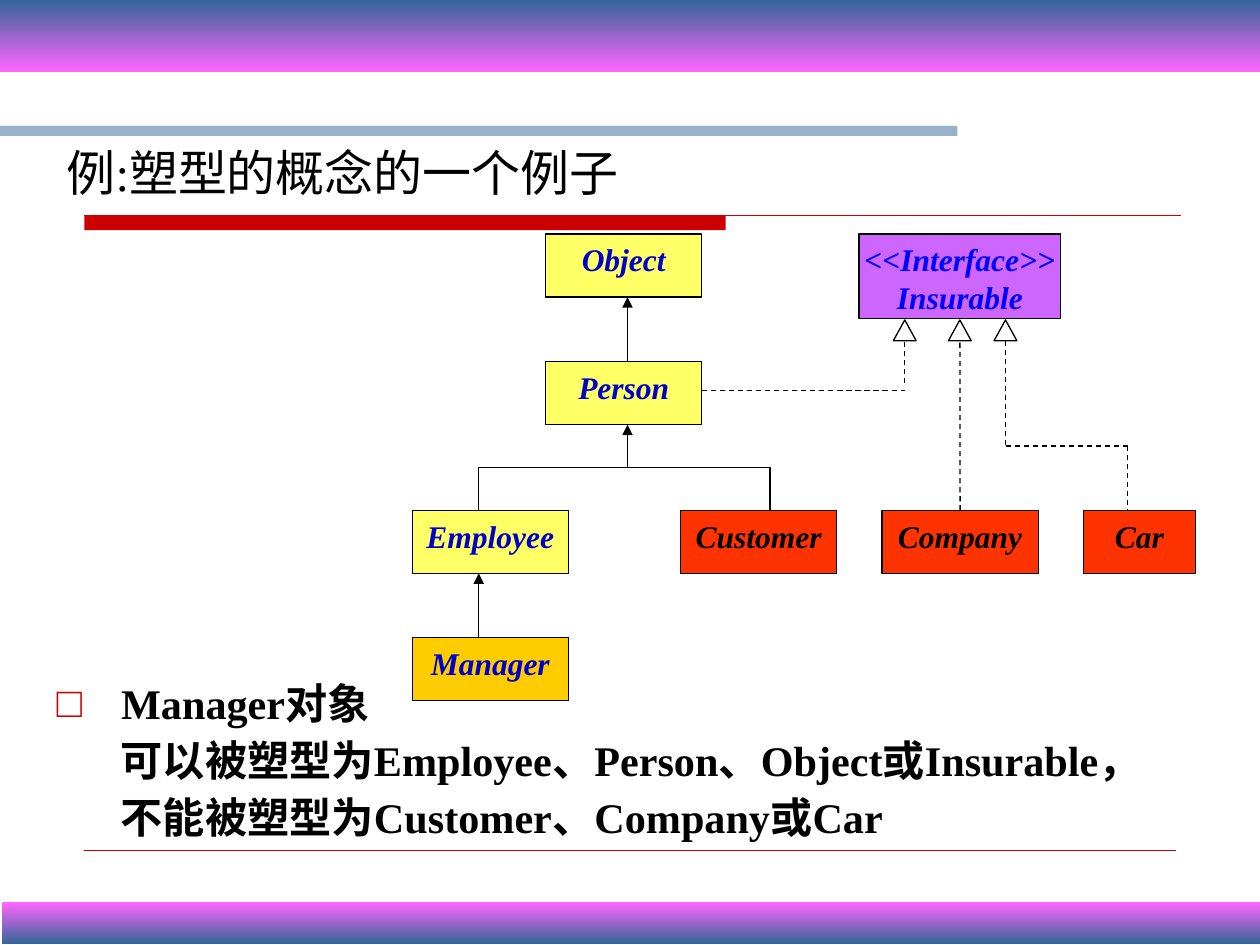
from dataclasses import dataclass
from typing import Any

from lxml import etree
from pptx import Presentation
from pptx.dml.color import RGBColor
from pptx.enum.dml import MSO_LINE
from pptx.enum.shapes import MSO_CONNECTOR, MSO_SHAPE
from pptx.enum.text import MSO_ANCHOR, MSO_AUTO_SIZE, PP_ALIGN
from pptx.oxml.ns import qn
from pptx.util import Cm, Pt

RECTANGLE = MSO_SHAPE.RECTANGLE
TRIANGLE = MSO_SHAPE.ISOSCELES_TRIANGLE
STRAIGHT = MSO_CONNECTOR.STRAIGHT
DASH = MSO_LINE.DASH
CENTER, LEFT = PP_ALIGN.CENTER, PP_ALIGN.LEFT
TOP, BOTTOM = MSO_ANCHOR.TOP, MSO_ANCHOR.BOTTOM
NO_FIT = MSO_AUTO_SIZE.NONE

FONT = "Times New Roman"
BLACK, WHITE, RED, BLUE, PINK = "000000", "FFFFFF", "CC0000", "336699", "FF66FF"
YELLOW, ORANGE, GOLD, PURPLE = "FFFF66", "FF3300", "FFCC00", "CC66FF"
NAVY, BRIGHT_BLUE = "0000CC", "0000FF"
BOX_WIDTH, BOX_HEIGHT = 3.15, 1.27
ROWS = (4.72, 7.29, 10.29, 12.85)
TRUNK, BUS, EMPLOYEE_LINE, CUSTOMER_LINE = 12.65, 9.42, 9.65, 15.52
HEAD_TOP, HEAD_WIDTH, HEAD_HEIGHT = 6.45, 0.46, 0.42
HEAD_BASE = HEAD_TOP + HEAD_HEIGHT
PERSON_HEAD, COMPANY_HEAD, CAR_HEAD = 18.24, 19.35, 20.27
PERSON_LINE, CAR_BEND, CAR_LINE = 7.87, 8.99, 22.73


@dataclass
class ClassBox:
    label: str
    left: float
    top: float
    fill: str = YELLOW
    color: str = NAVY
    width: float = BOX_WIDTH
    height: float = BOX_HEIGHT


@dataclass
class Link:
    start: tuple[float, float]
    end: tuple[float, float]
    dashed: bool = False
    arrow: bool = False
    color: str = BLACK
    weight: float = 0.75


BOXES = [
    ClassBox("Object", 11, ROWS[0]),
    ClassBox("Person", 11, ROWS[1]),
    ClassBox("Employee", 8.31, ROWS[2]),
    ClassBox("Customer", 13.72, ROWS[2], ORANGE, BLACK),
    ClassBox("Manager", 8.31, ROWS[3], GOLD),
    ClassBox("Company", 17.78, ROWS[2], ORANGE, BLACK),
    ClassBox("Car", 21.84, ROWS[2], ORANGE, BLACK, 2.26),
    ClassBox("<<Interface>>\nInsurable", 17.32, ROWS[0], PURPLE, BRIGHT_BLUE, 4.06, 1.7),
]
LINKS = [
    Link((TRUNK, ROWS[1]), (TRUNK, ROWS[0] + BOX_HEIGHT), arrow=True),
    Link((EMPLOYEE_LINE, BUS), (CUSTOMER_LINE, BUS)),
    Link((EMPLOYEE_LINE, BUS), (EMPLOYEE_LINE, ROWS[2])),
    Link((CUSTOMER_LINE, BUS), (CUSTOMER_LINE, ROWS[2])),
    Link((TRUNK, BUS), (TRUNK, ROWS[1] + BOX_HEIGHT), arrow=True),
    Link((EMPLOYEE_LINE, ROWS[3]), (EMPLOYEE_LINE, ROWS[2] + BOX_HEIGHT), arrow=True),
    Link((11 + BOX_WIDTH, PERSON_LINE), (PERSON_HEAD, PERSON_LINE), dashed=True),
    Link((PERSON_HEAD, 7.72), (PERSON_HEAD, HEAD_BASE), dashed=True),
    Link((CAR_HEAD, HEAD_BASE), (CAR_HEAD, CAR_BEND), dashed=True),
    Link((CAR_HEAD, CAR_BEND), (CAR_LINE, CAR_BEND), dashed=True),
    Link((CAR_LINE, CAR_BEND), (CAR_LINE, ROWS[2]), dashed=True),
]
BODY_LINES = [
    "Manager对象",
    "可以被塑型为Employee、Person、Object或Insurable，",
    "不能被塑型为Customer、Company或Car",
]


def rgb(value: str) -> RGBColor:
    return RGBColor.from_string(value)


def apply(target: Any, values: dict[str, Any]) -> None:
    for name, value in values.items():
        setattr(target, name, value)


def place(shape: Any, left: float, top: float, width: float, height: float) -> None:
    apply(shape, {"left": Cm(left), "top": Cm(top), "width": Cm(width), "height": Cm(height)})


def write(paragraph: Any, text: str, size: float, color: str, **style: bool) -> None:
    span = paragraph.add_run()
    span.text = text
    apply(span.font, {"name": FONT, "size": Pt(size), **style})
    span.font.color.rgb = rgb(color)


def add_block(page: Any, kind: Any, left: float, top: float, width: float, height: float,
              fill: str, outlined: bool = False) -> Any:
    block = page.shapes.add_shape(kind, Cm(left), Cm(top), Cm(width), Cm(height))
    block.shadow.inherit = False
    block.fill.solid()
    block.fill.fore_color.rgb = rgb(fill)
    if outlined:
        block.line.color.rgb = rgb(BLACK)
        block.line.width = Pt(0.75)
    else:
        block.line.fill.background()
    return block


def add_band(page: Any, left: float, top: float, height: float, colors: tuple[str, str]) -> None:
    band = add_block(page, RECTANGLE, left, top, 25.4, height, colors[0])
    band.fill.gradient()
    band.fill.gradient_angle = 270
    for stop, color in zip(band.fill.gradient_stops, colors):
        stop.color.rgb = rgb(color)


def add_class_box(page: Any, item: ClassBox) -> Any:
    box = add_block(page, RECTANGLE, item.left, item.top, item.width, item.height, item.fill, True)
    frame = box.text_frame
    apply(frame, {"word_wrap": False, "vertical_anchor": TOP})
    for index, line in enumerate(item.label.split("\n")):
        paragraph = frame.add_paragraph() if index else frame.paragraphs[0]
        paragraph.alignment = CENTER
        write(paragraph, line, 18, item.color, bold=True, italic=True)
    return box


def add_link(page: Any, link: Link) -> Any:
    points = [Cm(value) for value in (*link.start, *link.end)]
    connector = page.shapes.add_connector(STRAIGHT, *points)
    connector.line.color.rgb = rgb(link.color)
    connector.line.width = Pt(link.weight)
    if link.dashed:
        connector.line.dash_style = DASH
    if link.arrow:
        etree.SubElement(connector.line._get_or_add_ln(), qn("a:tailEnd"), type="triangle")
    etree.SubElement(connector._element.spPr, qn("a:effectLst"))
    return connector


def fill_title(title: Any) -> None:
    place(title, 1.09, 2.59, 15.01, 1.57)
    apply(title.text_frame, {"vertical_anchor": BOTTOM, "auto_size": NO_FIT, "word_wrap": True})
    paragraph = title.text_frame.paragraphs[0]
    apply(paragraph, {"alignment": LEFT, "line_spacing": 0.7})
    write(paragraph, "例:塑型的概念的一个例子", 28, BLACK)


def fill_body(body: Any) -> None:
    place(body, 0.89, 13.64, 24.31, 4.29)
    frame = body.text_frame
    apply(frame, {"vertical_anchor": TOP, "auto_size": NO_FIT, "word_wrap": True})
    for index, line in enumerate(BODY_LINES):
        paragraph = frame.add_paragraph() if index else frame.paragraphs[0]
        apply(paragraph, {"level": min(index, 1), "line_spacing": 0.9,
                          "space_before": Pt(6.5 if index else 0)})
        settings = paragraph._p.get_or_add_pPr()
        settings.set("marL", str(Cm(2.51 if index else 1.3)))
        settings.set("indent", str(Cm(-1.22 if index else -1.3)))
        if index:
            etree.SubElement(settings, qn("a:buNone"))
        else:
            bullet_color = etree.SubElement(settings, qn("a:buClr"))
            etree.SubElement(bullet_color, qn("a:srgbClr"), val=RED)
            etree.SubElement(settings, qn("a:buChar"), char="□")
        write(paragraph, line, 24.1, BLACK, bold=True)


def main() -> None:
    deck = Presentation()
    apply(deck, {"slide_width": Cm(25.4), "slide_height": Cm(19.05)})
    page = deck.slides.add_slide(deck.slide_layouts[1])
    fill_title(page.shapes.title)
    fill_body(page.placeholders[1])

    add_block(page, RECTANGLE, 1.7, 4.34, 12.93, 0.3, RED)
    add_link(page, Link((1.7, 4.34), (23.8, 4.34), color=RED))
    add_link(page, Link((1.7, 17.14), (23.7, 17.14), color=RED, weight=0.25))
    stripe = add_block(page, RECTANGLE, 0, 2.54, 19.3, 0.2, BLUE)
    stripe_color = stripe._element.spPr.find(qn("a:solidFill"))[0]
    etree.SubElement(stripe_color, qn("a:alpha"), val="50000")

    boxes = {item.label: add_class_box(page, item) for item in BOXES}
    for center in (PERSON_HEAD, COMPANY_HEAD, CAR_HEAD):
        add_block(page, TRIANGLE, center - HEAD_WIDTH / 2, HEAD_TOP, HEAD_WIDTH, HEAD_HEIGHT, WHITE, True)
    for link in LINKS:
        add_link(page, link)
    company_link = add_link(page, Link((COMPANY_HEAD, ROWS[2]), (COMPANY_HEAD, HEAD_BASE), dashed=True))
    company_link.begin_connect(boxes["Company"], 0)

    add_band(page, 0.05, 18.19, 0.84, (PINK, BLUE))
    add_band(page, 0, 0, 1.45, (BLUE, PINK))
    deck.save("out.pptx")


if __name__ == "__main__":
    main()
